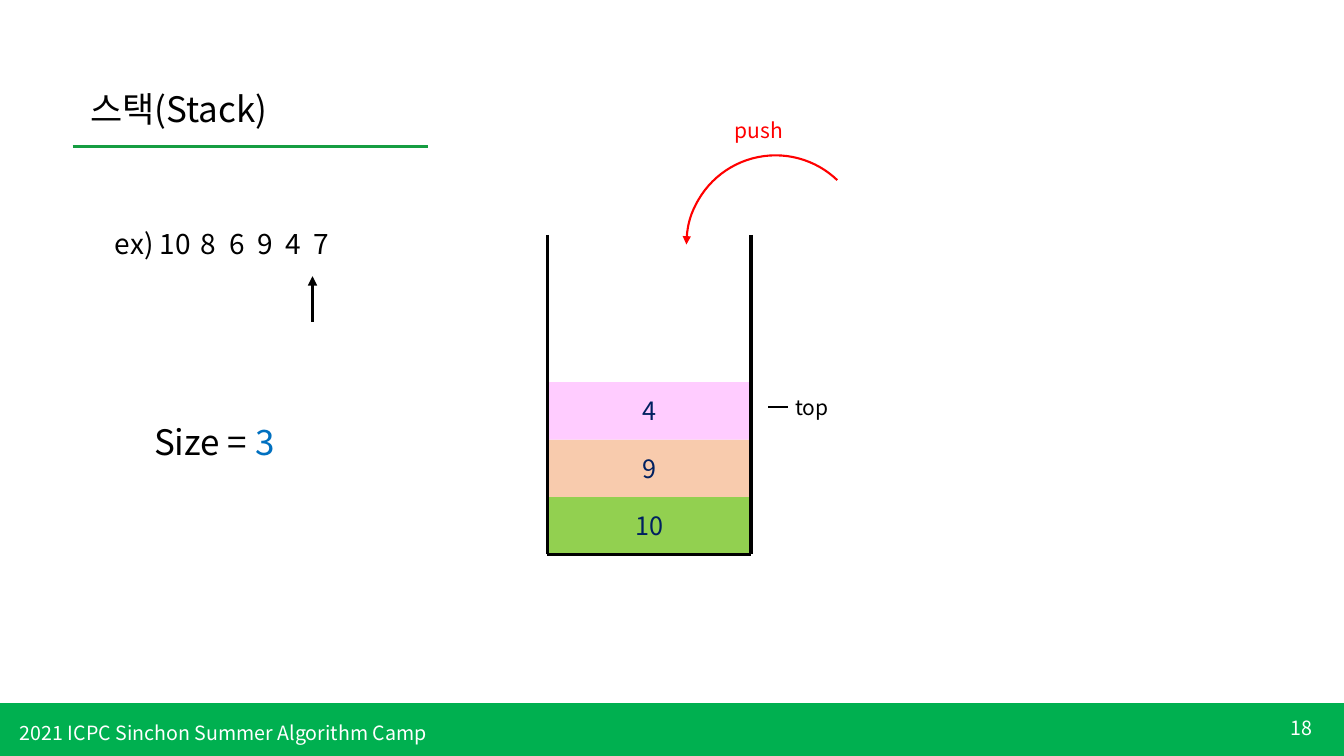
from dataclasses import dataclass

from pptx import Presentation
from pptx.dml.color import RGBColor
from pptx.enum.shapes import MSO_CONNECTOR, MSO_SHAPE
from pptx.enum.text import MSO_ANCHOR, MSO_AUTO_SIZE, PP_ALIGN
from pptx.oxml.ns import qn
from pptx.util import Pt
from lxml.etree import SubElement

FONT = "Noto Sans CJK KR"
COLORS = {
    "black": "000000", "white": "FFFFFF", "navy": "002060", "blue": "0070C0",
    "red": "FF0000", "footer": "00B050", "rule": "159D41",
    "pink": "FFCCFF", "peach": "F8CBAD", "lime": "92D050",
}
STACK_LEFT, STACK_RIGHT, STACK_TOP, STACK_BOTTOM = 391, 536.4, 167.8, 396
ITEM_HEIGHT = 41


@dataclass
class Item:
    value: str
    color: str


@dataclass
class Label:
    runs: list[tuple[str, str]]
    box: tuple[float, float, float, float]
    size: float
    tabs: tuple[float, ...] = ()


@dataclass
class Line:
    start: tuple[float, float]
    end: tuple[float, float]
    color: str = "black"
    width: float = 2.25
    arrow: bool = False


ITEMS = [Item("10", "lime"), Item("9", "peach"), Item("4", "pink")]
INPUT_TABS = tuple(61.5 + 20.2 * step for step in range(5))

LABELS = [
    Label([("2021 ICPC Sinchon Summer Algorithm Camp", "white")], (7.2, 511.2, 414.7, 24.5), 14),
    Label([("스택(Stack)", "black")], (57.6, 59, 253.4, 37.4), 25),
    Label([("Size = ", "black"), ("3", "blue")], (103, 296.6, 111.6, 37.4), 25),
    Label([("ex) 10\t8\t6\t9\t4\t7", "black")], (74.9, 158.4, 280, 31.7), 20, INPUT_TABS),
    Label([("top", "black")], (560.9, 277.9, 53.3, 25.2), 15),
    Label([("push", "red")], (517.7, 80.6, 56.9, 25.2), 15),
]

LINES = [
    Line((51.8, 104.4), (306, 104.4), "rule"),
    Line((STACK_LEFT, STACK_TOP), (STACK_LEFT, STACK_BOTTOM)),
    Line((STACK_RIGHT, STACK_TOP), (STACK_RIGHT, STACK_BOTTOM)),
    Line((STACK_RIGHT, STACK_BOTTOM), (STACK_LEFT, STACK_BOTTOM)),
    Line((223.2, 229.7), (223.2, 197.3), arrow=True),
    Line((548.6, 290.9), (563, 290.9), width=1.5),
]


def rgb(name: str) -> RGBColor:
    return RGBColor.from_string(COLORS[name])


def write_text(shape, runs: list[tuple[str, str]], *, size: float,
               align=PP_ALIGN.LEFT, anchor=MSO_ANCHOR.TOP,
               grow: bool = False, tabs: tuple[float, ...] = ()) -> None:
    """Fill a shape with one paragraph of (text, colour) runs."""
    frame = shape.text_frame
    frame.word_wrap = True
    frame.vertical_anchor = anchor
    if grow:
        frame.auto_size = MSO_AUTO_SIZE.SHAPE_TO_FIT_TEXT
    paragraph = frame.paragraphs[0]
    paragraph.alignment = align
    if tabs:
        tab_list = SubElement(paragraph._p.get_or_add_pPr(), qn("a:tabLst"))
        for position in tabs:
            SubElement(tab_list, qn("a:tab"), pos=str(Pt(position)), algn="l")
    for text, color in runs:
        run = paragraph.add_run()
        run.text = text
        run.font.size = Pt(size)
        run.font.name = FONT
        run.font.color.rgb = rgb(color)
        SubElement(run.font._element, qn("a:ea"), typeface=FONT)


def add_text(slide, box: tuple[float, float, float, float],
             runs: list[tuple[str, str]], **text_format) -> None:
    write_text(slide.shapes.add_textbox(*map(Pt, box)), runs, **text_format)


def add_block(slide, box: tuple[float, float, float, float], color: str):
    """Add a plain filled rectangle without an outline."""
    block = slide.shapes.add_shape(MSO_SHAPE.RECTANGLE, *map(Pt, box))
    block.shadow.inherit = False
    block.fill.solid()
    block.fill.fore_color.rgb = rgb(color)
    block.line.fill.background()
    return block


def style_line(shape, color: str, width: float, arrow_end: str = "") -> None:
    shape.line.color.rgb = rgb(color)
    shape.line.width = Pt(width)
    if arrow_end:
        SubElement(shape.line._get_or_add_ln(), qn(arrow_end), type="triangle")


def add_line(slide, line: Line) -> None:
    connector = slide.shapes.add_connector(
        MSO_CONNECTOR.STRAIGHT, *map(Pt, line.start + line.end))
    style_line(connector, line.color, line.width, "a:tailEnd" if line.arrow else "")
    SubElement(connector._element.spPr, qn("a:effectLst"))


def add_push_arrow(slide) -> None:
    arc = slide.shapes.add_shape(MSO_SHAPE.ARC, Pt(490.3), Pt(110.9), Pt(127.4), Pt(127.4))
    arc.rotation = 270
    arc.adjustments[0] = 162
    arc.adjustments[1] = 26.26
    arc.fill.background()
    style_line(arc, "red", 1.5, "a:headEnd")
    arc.shadow.inherit = False


def main() -> None:
    deck = Presentation()
    deck.slide_width, deck.slide_height = Pt(960), Pt(540)
    slide = deck.slides.add_slide(deck.slide_layouts[6])

    for level, item in enumerate(ITEMS, start=1):
        box = (STACK_LEFT, STACK_BOTTOM - level * ITEM_HEIGHT,
               STACK_RIGHT - STACK_LEFT, ITEM_HEIGHT)
        write_text(add_block(slide, box, item.color), [(item.value, "navy")],
                   size=18, align=PP_ALIGN.CENTER, anchor=MSO_ANCHOR.MIDDLE)

    footer = add_block(slide, (0, 502.5, 960, 37.5), "footer")
    style_line(footer, "footer", 1)
    add_text(slide, (872.6, 505.4, 72, 28.8), [("18", "white")], size=14,
             align=PP_ALIGN.RIGHT, anchor=MSO_ANCHOR.MIDDLE)

    for line in LINES:
        add_line(slide, line)
    for label in LABELS:
        add_text(slide, label.box, label.runs, size=label.size, grow=True, tabs=label.tabs)
    add_push_arrow(slide)

    deck.save("out.pptx")


if __name__ == "__main__":
    main()
